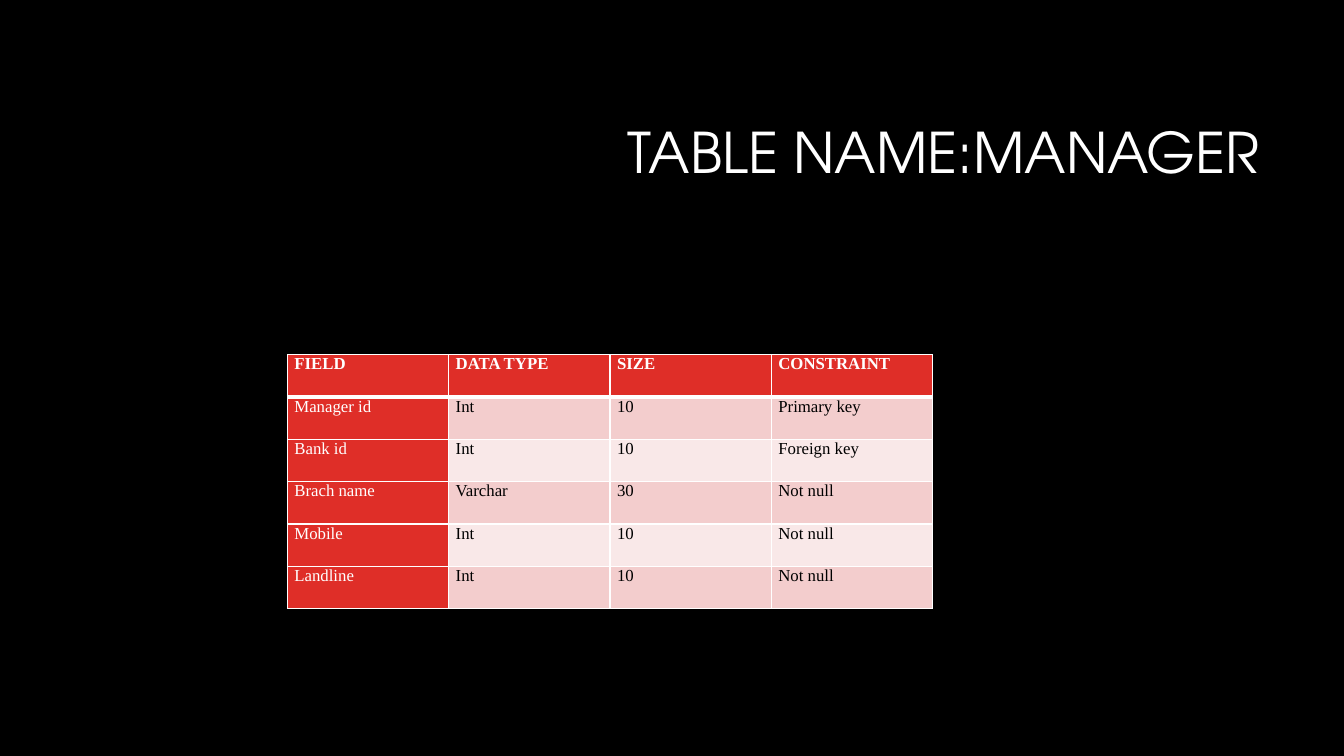
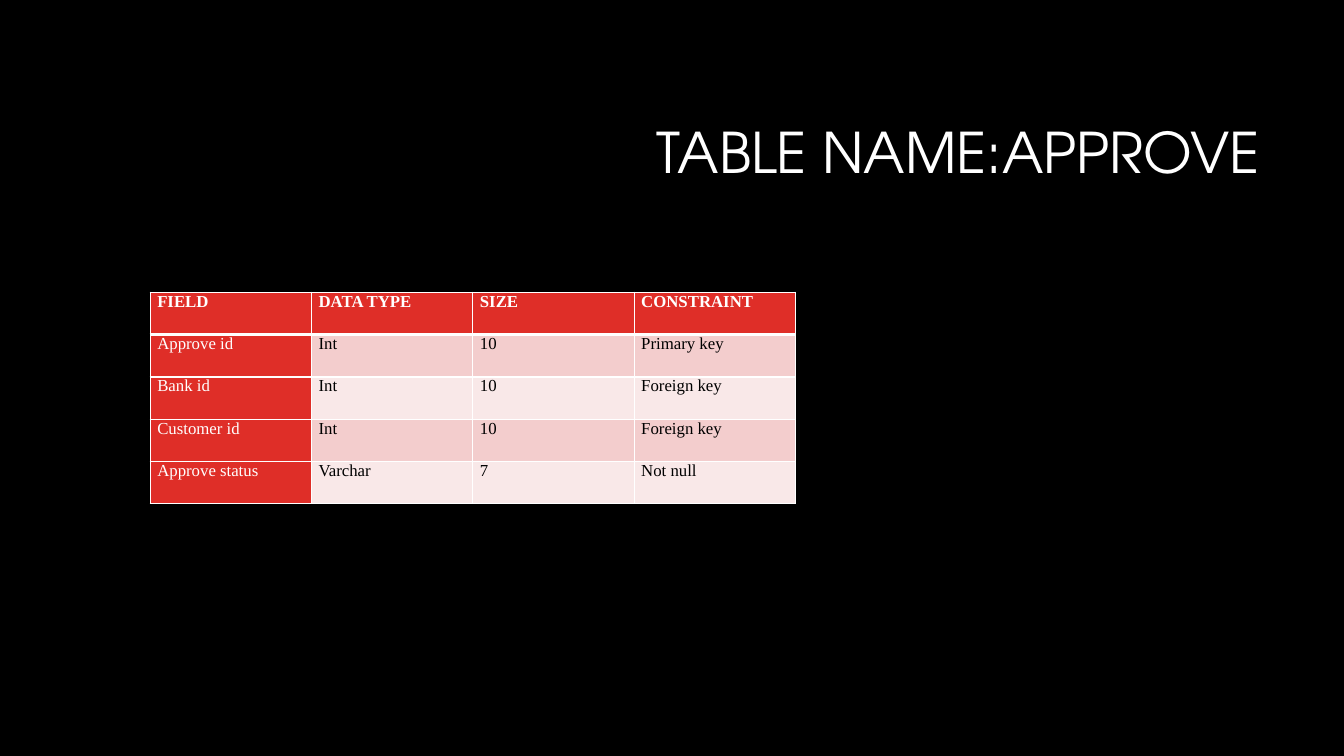
"""Build two slides that describe the manager and approve database tables."""
import lxml.etree
import pptx
import pptx.dml.color
import pptx.enum.text
import pptx.oxml.ns
import pptx.util

Inches, Pt = pptx.util.Inches, pptx.util.Pt
WHITE, BLACK, RED = "FFFFFF", "000000", "DF2E28"
BANDS = ["F3CDCD", "F9E8E8"]
TITLE = {"name": "TeX Gyre Adventor", "size": Pt(40), "bold": False}
BODY = {"name": "Times New Roman", "size": Pt(12), "bold": False}
HEAD = {**BODY, "bold": True}
COL, ROW = 1.6, 0.42
FIELDS = ("FIELD", "DATA TYPE", "SIZE", "CONSTRAINT")

TABLES = [
    ("TABLE NAME:MANAGER", 2.85, 3.52, [
        ("Manager id", "Int", "10", "Primary key"),
        ("Bank id", "Int", "10", "Foreign key"),
        ("Brach name", "Varchar", "30", "Not null"),
        ("Mobile", "Int", "10", "Not null"),
        ("Landline", "Int", "10", "Not null"),
    ]),
    ("TABLE NAME:APPROVE", 1.49, 2.9, [
        ("Approve id", "Int", "10", "Primary key"),
        ("Bank id", "Int", "10", "Foreign key"),
        ("Customer id", "Int", "10", "Foreign key"),
        ("Approve status", "Varchar", "7", "Not null"),
    ]),
]


def paint(fill, color):
    fill.solid()
    fill.fore_color.rgb = pptx.dml.color.RGBColor.from_string(color)


def write(frame, text, style, color):
    para = frame.paragraphs[0]
    run = para.add_run()
    run.text = text
    for key, value in style.items():
        setattr(run.font, key, value)
    paint(run.font.fill, color)
    return para


deck = pptx.Presentation()
deck.slide_width, deck.slide_height = Inches(13.33), Inches(7.5)

for title, left, top, body in TABLES:
    slide = deck.slides.add_slide(deck.slide_layouts[6])
    paint(slide.background.fill, BLACK)

    box = slide.shapes.add_textbox(Inches(3.17), Inches(0.84), Inches(9.42), Inches(1.41))
    frame = box.text_frame
    frame.word_wrap = True
    frame.vertical_anchor = pptx.enum.text.MSO_ANCHOR.MIDDLE
    para = write(frame, title, TITLE, WHITE)
    para.alignment = pptx.enum.text.PP_ALIGN.RIGHT
    para.line_spacing = 0.9

    rows = [FIELDS, *body]
    table = slide.shapes.add_table(
        len(rows), len(FIELDS), Inches(left), Inches(top),
        Inches(COL * len(FIELDS)), Inches(ROW * len(rows))).table
    for col in table.columns:
        col.width = Inches(COL)
    for r, row in enumerate(rows):
        table.rows[r].height = Inches(ROW)
        for c, text in enumerate(row):
            cell = table.cell(r, c)
            cell.margin_left = cell.margin_right = Inches(0.07)
            cell.margin_top = cell.margin_bottom = 0
            props = cell._tc.get_or_add_tcPr()
            for side in "LRTB":
                thick = (r, side) in [(0, "B"), (1, "T")]
                line = lxml.etree.SubElement(
                    props, pptx.oxml.ns.qn("a:ln" + side), w=str(Pt(3 if thick else 1)))
                solid = lxml.etree.SubElement(line, pptx.oxml.ns.qn("a:solidFill"))
                lxml.etree.SubElement(solid, pptx.oxml.ns.qn("a:srgbClr"), val=WHITE)
            accent = r == 0 or c == 0
            paint(cell.fill, RED if accent else BANDS[(r - 1) % 2])
            write(cell.text_frame, text, BODY if r else HEAD, WHITE if accent else BLACK)

deck.save("out.pptx")
